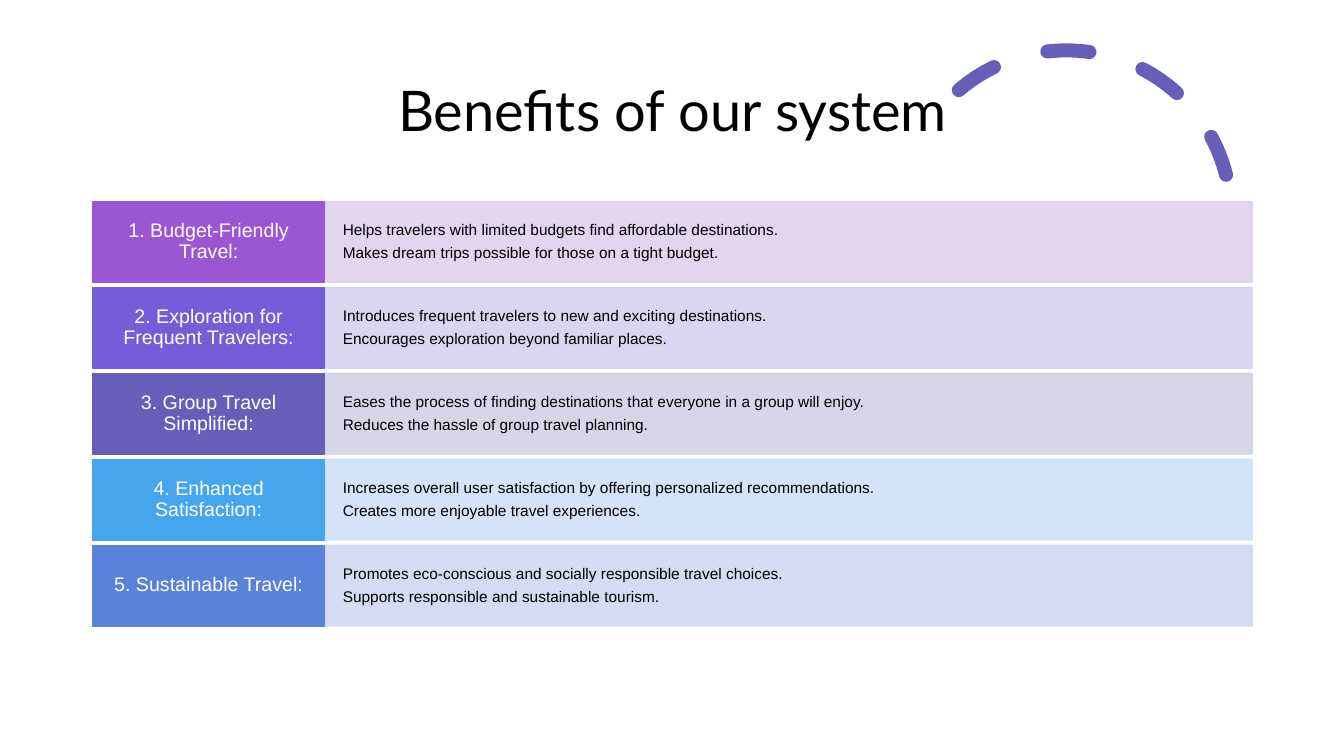
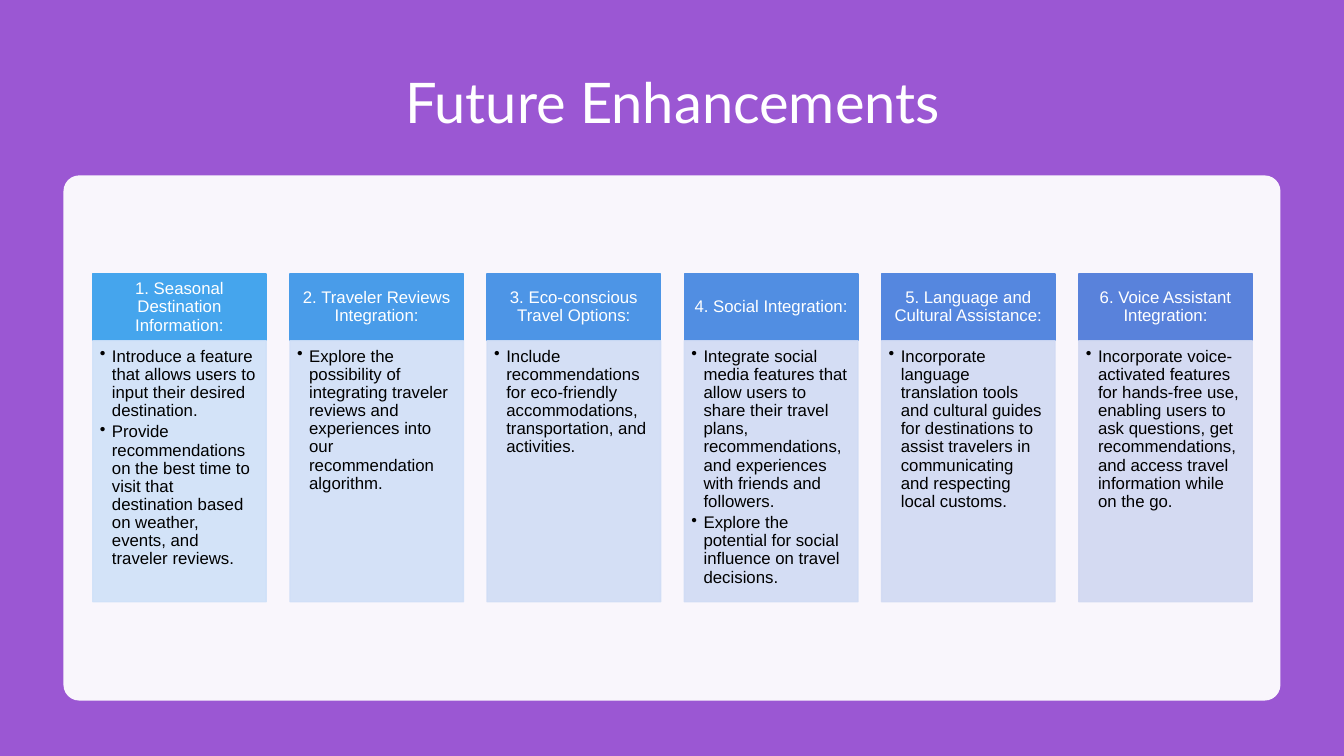
import pptx
import pptx.dml.color
import pptx.enum.dml
import pptx.enum.shapes
import pptx.enum.text
import pptx.oxml
import pptx.oxml.ns
import pptx.util
from pptx.util import Inches

WHITE, BLACK = "FFFFFF", "000000"
PURPLE, INDIGO = "9B57D3", "665EB8"
LEFT, WIDTH = 0.92, 11.5
SHAPE = pptx.enum.shapes.MSO_SHAPE
ANCHOR = pptx.enum.text.MSO_ANCHOR
ALIGN = pptx.enum.text.PP_ALIGN


def paint(fill, color, opacity=100):
    """Fill with a hex colour, at an opacity in percent."""
    fill.solid()
    fill.fore_color.rgb = pptx.dml.color.RGBColor.from_string(color)
    if opacity < 100:
        tag = pptx.oxml.ns.qn("a:srgbClr")
        for element in fill._xPr.find(pptx.oxml.ns.qn("a:solidFill")).iter(tag):
            alpha = element.makeelement(pptx.oxml.ns.qn("a:alpha"), {"val": str(opacity * 1000)})
            element.append(alpha)


def add_block(slide, place, lines, size, text_color, font="Arial", color=None, opacity=100,
              insets=(0.1, 0.05, 0.1, 0.05), align=ALIGN.CENTER, anchor=ANCHOR.MIDDLE,
              space_after=0, bullets=False):
    """Add text at a place, on a rectangle when a colour is given."""
    place = [Inches(length) for length in place]
    if color:
        shape = slide.shapes.add_shape(SHAPE.RECTANGLE, *place)
        shape.shadow.inherit = False
        paint(shape.fill, color, opacity)
        paint(shape.line.fill, color, opacity)
        shape.line.width = pptx.util.Pt(1)
    else:
        shape = slide.shapes.add_textbox(*place)
    frame = shape.text_frame
    frame.word_wrap = True
    frame.vertical_anchor = anchor
    frame.margin_left, frame.margin_top, frame.margin_right, frame.margin_bottom = [
        Inches(inset) for inset in insets]
    frame.text = "\n".join(lines)
    for paragraph in frame.paragraphs:
        paragraph.alignment = align
        paragraph.line_spacing = 0.9
        paragraph.space_after = pptx.util.Pt(space_after)
        run_font = paragraph.runs[0].font
        run_font.name = font
        run_font.size = pptx.util.Pt(size)
        paint(run_font.fill, text_color)
        if bullets:
            properties = paragraph._p.get_or_add_pPr()
            properties.set("marL", str(Inches(0.12)))
            properties.set("indent", str(-Inches(0.12)))
            bullet = properties.makeelement(pptx.oxml.ns.qn("a:buChar"), {"char": "•"})
            properties.append(bullet)


presentation = pptx.Presentation()
presentation.slide_width = Inches(13.33)
presentation.slide_height = Inches(7.5)

# Backgrounds and titles
title_style = {"size": 40, "font": "Lato"}
blank_layout = presentation.slide_layouts[6]
benefits_slide = presentation.slides.add_slide(blank_layout)
paint(benefits_slide.background.fill, WHITE)
future_slide = presentation.slides.add_slide(blank_layout)
paint(future_slide.background.fill, PURPLE)

# Slide 1: dashed arc beside the title
arc = benefits_slide.shapes.add_shape(
    SHAPE.ARC, Inches(8.94), Inches(0.5), Inches(3.27), Inches(3.27))
arc.shadow.inherit = False
arc.adjustments[0], arc.adjustments[1] = 146.13, 0
arc.rotation = 345.8
arc.fill.background()
paint(arc.line.fill, INDIGO)
arc.line.width = pptx.util.Pt(10)
arc.line.dash_style = pptx.enum.dml.MSO_LINE.DASH
arc.line._get_or_add_ln().set("cap", "rnd")
add_block(benefits_slide, (LEFT, 0.4, WIDTH, 1.45), ["Benefits of our system"],
          text_color=BLACK, **title_style)

# Slide 1: one row per benefit
benefits = [
    ("1. Budget-Friendly Travel:", PURPLE, "DED1EF", [
        "Helps travelers with limited budgets find affordable destinations.",
        "Makes dream trips possible for those on a tight budget."]),
    ("2. Exploration for Frequent Travelers:", "755DD9", "D6D2F1", [
        "Introduces frequent travelers to new and exciting destinations.",
        "Encourages exploration beyond familiar places."]),
    ("3. Group Travel Simplified:", INDIGO, "D3D2E6", [
        "Eases the process of finding destinations that everyone in a group will enjoy.",
        "Reduces the hassle of group travel planning."]),
    ("4. Enhanced Satisfaction:", "45A5ED", "CFE1F8", [
        "Increases overall user satisfaction by offering personalized recommendations.",
        "Creates more enjoyable travel experiences."]),
    ("5. Sustainable Travel:", "5982DB", "D1D8F1", [
        "Promotes eco-conscious and socially responsible travel choices.",
        "Supports responsible and sustainable tourism."]),
]
label_width, row_height = 2.3, 0.8
row_pitch = (5.41 - 2) / (len(benefits) - 1)
for index, (label, color, tint, lines) in enumerate(benefits):
    top = 2 + index * row_pitch
    add_block(benefits_slide, (LEFT + label_width, top, WIDTH - label_width, row_height),
              lines, 11, BLACK, color=tint, opacity=90, insets=(0.18, 0.2, 0.18, 0.2),
              align=ALIGN.LEFT, space_after=4.4)
    add_block(benefits_slide, (LEFT, top, label_width, row_height), [label], 14, WHITE,
              color=color, insets=(0.12, 0.08, 0.12, 0.08))

# Slide 2: title and rounded panel
add_block(future_slide, (LEFT, 0.5, WIDTH, 1.1), ["Future Enhancements"],
          text_color=WHITE, **title_style)
panel = future_slide.shapes.add_shape(
    SHAPE.ROUNDED_RECTANGLE, Inches(0.63), Inches(1.74), Inches(12.07), Inches(5.21))
panel.shadow.inherit = False
panel.adjustments[0] = 0.03
paint(panel.fill, WHITE, 95)
panel.line.fill.background()

# Slide 2: one column per enhancement
enhancements = [
    ("1. Seasonal Destination Information:", "45A5ED", "CFE1F8", [
        "Introduce a feature that allows users to input their desired destination.",
        "Provide recommendations on the best time to visit that destination based on "
        "weather, events, and traveler reviews."]),
    ("2. Traveler Reviews Integration:", "499CE9", "D0DFF7", [
        "Explore the possibility of integrating traveler reviews and experiences into "
        "our recommendation algorithm."]),
    ("3. Eco-conscious Travel Options:", "4D95E6", "D0DDF5", [
        "Include recommendations for eco-friendly accommodations, transportation, and "
        "activities."]),
    ("4. Social Integration:", "518EE2", "D0DBF4", [
        "Integrate social media features that allow users to share their travel plans, "
        "recommendations, and experiences with friends and followers.",
        "Explore the potential for social influence on travel decisions."]),
    ("5. Language and Cultural Assistance:", "5587DF", "D1DAF3", [
        "Incorporate language translation tools and cultural guides for destinations to "
        "assist travelers in communicating and respecting local customs."]),
    ("6. Voice Assistant Integration:", "5982DB", "D1D8F1", [
        "Incorporate voice-activated features for hands-free use, enabling users to ask "
        "questions, get recommendations, and access travel information while on the go."]),
]
column_width, heading_top, heading_height = 1.72, 2.72, 0.66
column_pitch = (WIDTH - column_width) / (len(enhancements) - 1)
for index, (heading, color, tint, lines) in enumerate(enhancements):
    left = LEFT + index * column_pitch
    add_block(future_slide, (left, heading_top, column_width, heading_height), [heading],
              12, WHITE, color=color, insets=(0.09, 0.05, 0.09, 0.05))
    add_block(future_slide, (left, heading_top + heading_height, column_width, 2.59), lines,
              12, BLACK, color=tint, opacity=90, insets=(0.07, 0.07, 0.09, 0.1),
              align=ALIGN.LEFT, anchor=ANCHOR.TOP, space_after=2.2, bullets=True)

presentation.save("out.pptx")
